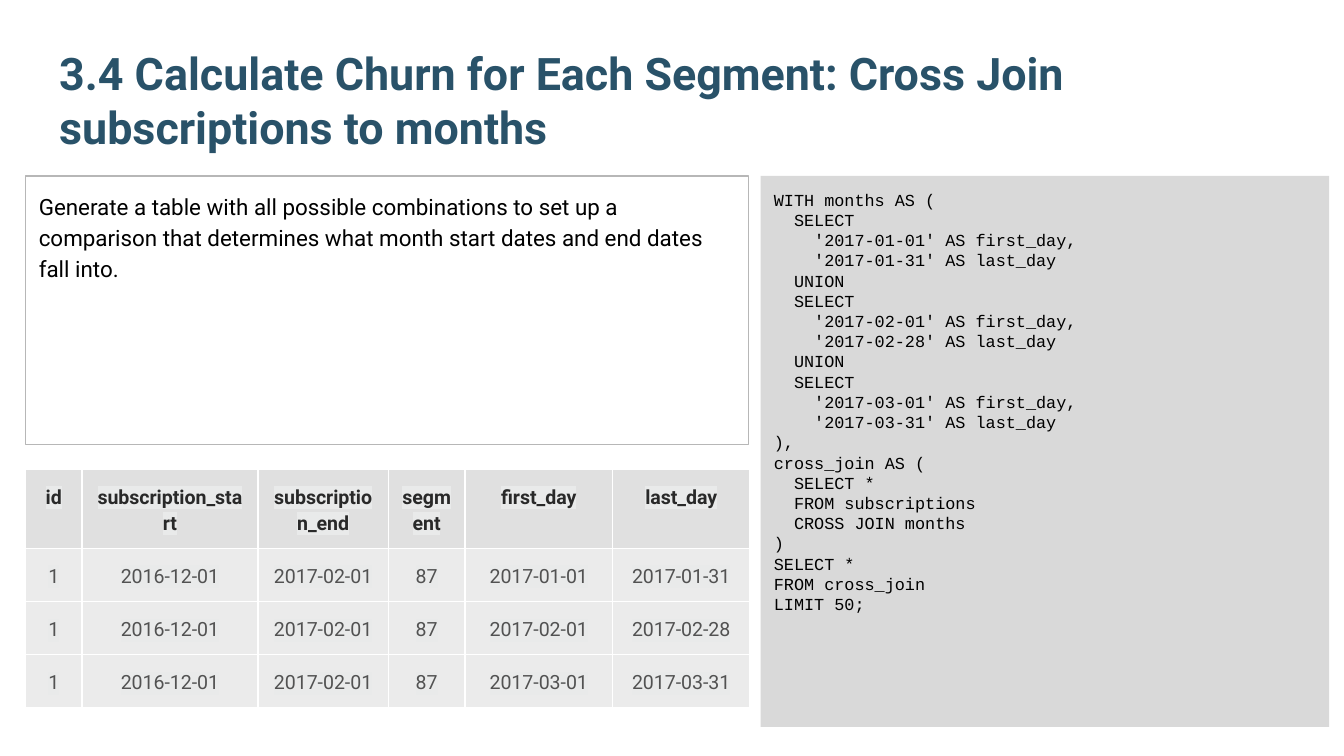
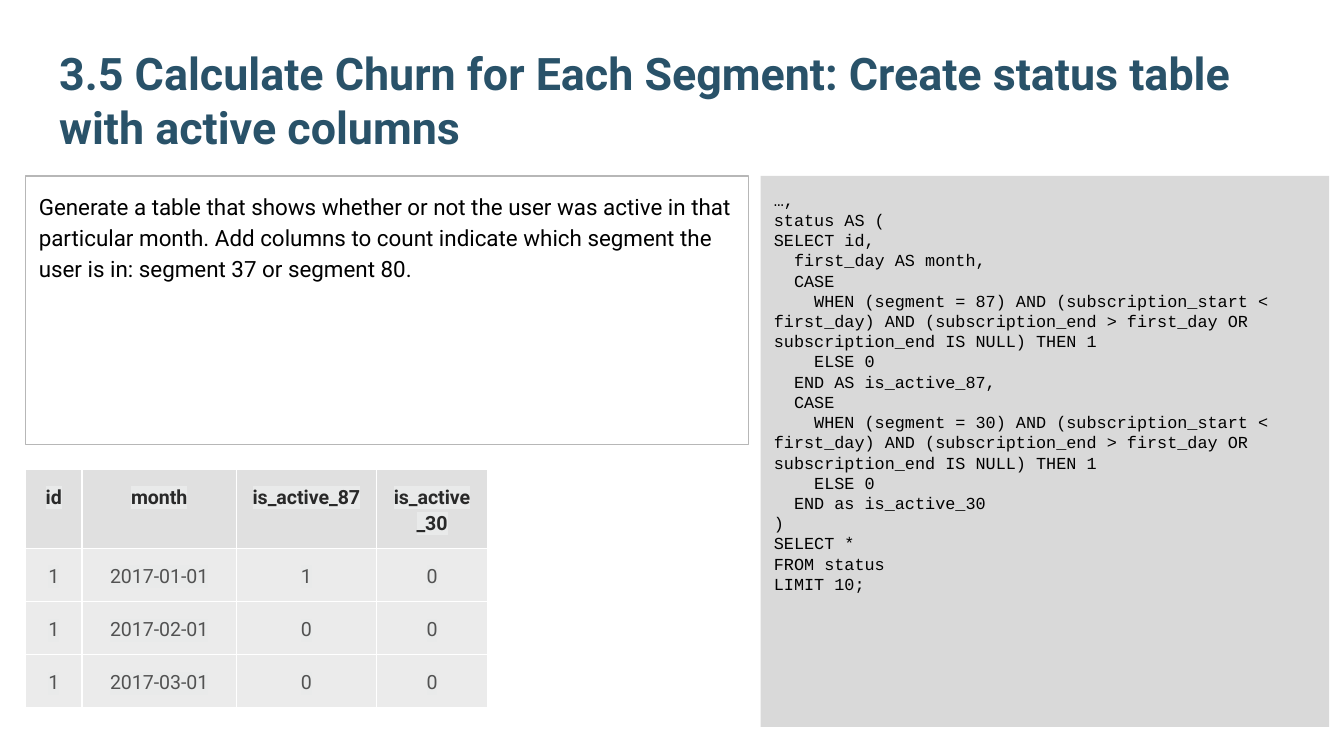
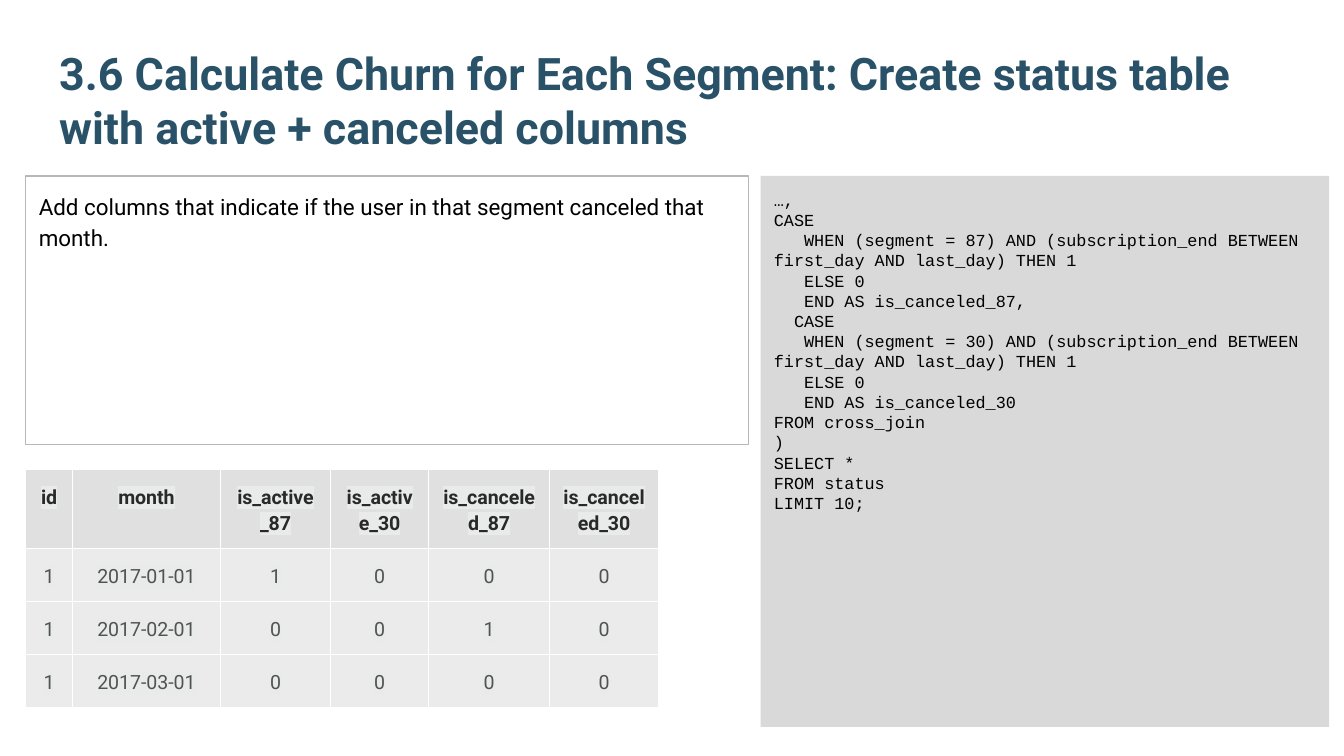
from dataclasses import dataclass

from lxml.etree import SubElement
from pptx import Presentation
from pptx.dml.color import RGBColor
from pptx.enum.shapes import MSO_SHAPE as Shape
from pptx.enum.text import MSO_ANCHOR as Anchor, MSO_AUTO_SIZE as AutoSize, PP_ALIGN as Align
from pptx.oxml import parse_xml
from pptx.oxml.ns import nsdecls, qn
from pptx.util import Inches, Pt

# Content
SLIDES = [
    {
        "title": "3.4 Calculate Churn for Each Segment: Cross Join subscriptions to months",
        "summary": "Generate a table with all possible combinations to set up a comparison "
                   "that determines what month start dates and end dates fall into.",
        "code": """\
WITH months AS (
  SELECT
    '2017-01-01' AS first_day,
    '2017-01-31' AS last_day
  UNION
  SELECT
    '2017-02-01' AS first_day,
    '2017-02-28' AS last_day
  UNION
  SELECT
    '2017-03-01' AS first_day,
    '2017-03-31' AS last_day
),
cross_join AS (
  SELECT *
  FROM subscriptions
  CROSS JOIN months
)
SELECT *
FROM cross_join
LIMIT 50;""",
        "widths": [0.42, 1.31, 0.97, 0.57, 1.1, 1.02],
        "rows": [
            ("id", "subscription_start", "subscription_end", "segment", "first_day", "last_day"),
            ("1", "2016-12-01", "2017-02-01", "87", "2017-01-01", "2017-01-31"),
            ("1", "2016-12-01", "2017-02-01", "87", "2017-02-01", "2017-02-28"),
            ("1", "2016-12-01", "2017-02-01", "87", "2017-03-01", "2017-03-31"),
        ],
    },
    {
        "title": "3.5 Calculate Churn for Each Segment: Create status table with active columns",
        "summary": "Generate a table that shows whether or not the user was active in that "
                   "particular month. Add columns to count indicate which segment the user "
                   "is in: segment 37 or segment 80.",
        "code": """\
…,
status AS (
SELECT id,
  first_day AS month,
  CASE
    WHEN (segment = 87) AND (subscription_start < first_day) AND \
(subscription_end > first_day OR subscription_end IS NULL) THEN 1
    ELSE 0
  END AS is_active_87,
  CASE
    WHEN (segment = 30) AND (subscription_start < first_day) AND \
(subscription_end > first_day OR subscription_end IS NULL) THEN 1
    ELSE 0
  END as is_active_30
)
SELECT *
FROM status
LIMIT 10;""",
        "widths": [0.42, 1.15, 1.04, 0.83],
        "rows": [
            ("id", "month", "is_active_87", "is_active_30"),
            ("1", "2017-01-01", "1", "0"),
            ("1", "2017-02-01", "0", "0"),
            ("1", "2017-03-01", "0", "0"),
        ],
    },
    {
        "title": "3.6 Calculate Churn for Each Segment: Create status table "
                 "with active + canceled columns",
        "summary": "Add columns that indicate if the user in that segment canceled that month.",
        "code": """\
…,
CASE
   WHEN (segment = 87) AND (subscription_end BETWEEN first_day AND last_day) THEN 1
   ELSE 0
   END AS is_canceled_87,
  CASE
   WHEN (segment = 30) AND (subscription_end BETWEEN first_day AND last_day) THEN 1
   ELSE 0
   END AS is_canceled_30
FROM cross_join
)
SELECT *
FROM status
LIMIT 10;""",
        "widths": [0.35, 1.1, 0.82, 0.73, 0.9, 0.81],
        "rows": [
            ("id", "month", "is_active_87", "is_active_30", "is_canceled_87", "is_canceled_30"),
            ("1", "2017-01-01", "1", "0", "0", "0"),
            ("1", "2017-02-01", "0", "0", "1", "0"),
            ("1", "2017-03-01", "0", "0", "0", "0"),
        ],
    },
]


# Shared look
@dataclass(frozen=True)
class TextStyle:
    size: float
    color: str
    font: str = "Roboto"
    bold: bool = False
    highlight: str = ""
    spacing: float = 1.0
    align: Align = Align.LEFT


@dataclass(frozen=True)
class Theme:
    title: TextStyle = TextStyle(24, "295269", bold=True)
    summary: TextStyle = TextStyle(12, "000000", spacing=1.15)
    code: TextStyle = TextStyle(9, "000000", font="Courier New")
    header: TextStyle = TextStyle(10.5, "292929", bold=True, highlight="E9EAEA",
                                  spacing=1.15, align=Align.CENTER)
    value: TextStyle = TextStyle(10.5, "525252", highlight="E9EAEA",
                                 spacing=1.15, align=Align.CENTER)
    code_fill: str = "D9D9D9"
    summary_line: str = "B7B7B7"
    header_fill: str = "E0E0E0"
    value_fill: str = "EBEBEB"
    grid_line: str = "FFFFFF"
    line_width: float = 0.75


THEME = Theme()
SLIDE_WIDTH = Inches(10)
SLIDE_HEIGHT = SLIDE_WIDTH * 9 // 16
PADDING = Inches(0.1)
TITLE_AREA = (0.34, 0.32, 9.32, 0.92)
CODE_AREA = (5.66, 1.31, 4.23, 4.1)
SUMMARY_AREA = (0.19, 1.31, 5.38, 2)
TABLE_LEFT, TABLE_TOP = 0.19, 3.49
HEADER_HEIGHT, VALUE_HEIGHT = 0.46, 0.37


def inches(area):
    return [Inches(length) for length in area]


def paint(fill, color):
    fill.solid()
    fill.fore_color.rgb = RGBColor.from_string(color)


# Text
def pad(target):
    target.margin_left = target.margin_right = PADDING
    target.margin_top = target.margin_bottom = PADDING


def write(frame, text, style):
    for index, line in enumerate(text.splitlines()):
        para = frame.add_paragraph() if index else frame.paragraphs[0]
        para.alignment = style.align
        para.line_spacing = style.spacing
        para.space_before = para.space_after = Pt(0)
        span = para.add_run()
        span.text = line
        font = span.font
        font.name, font.size, font.bold = style.font, Pt(style.size), style.bold
        font.color.rgb = RGBColor.from_string(style.color)
        if style.highlight:
            mark = parse_xml(f'<a:highlight {nsdecls("a")}>'
                             f'<a:srgbClr val="{style.highlight}"/></a:highlight>')
            span._r.get_or_add_rPr().find(qn("a:solidFill")).addnext(mark)


# Slide parts
def add_title(page, text):
    title = page.shapes.title
    title.left, title.top, title.width, title.height = inches(TITLE_AREA)
    frame = title.text_frame
    frame.word_wrap = True
    frame.auto_size = AutoSize.NONE
    frame.vertical_anchor = Anchor.BOTTOM
    pad(frame)
    write(frame, text, THEME.title)


def add_panel(page, area, text, style, fill=None, line=None):
    box = page.shapes.add_shape(Shape.RECTANGLE, *inches(area))
    box.shadow.inherit = False
    if fill:
        paint(box.fill, fill)
    else:
        box.fill.background()
    if line:
        paint(box.line.fill, line)
        box.line.width = Pt(THEME.line_width)
    else:
        box.line.fill.background()
    frame = box.text_frame
    frame.word_wrap = True
    frame.vertical_anchor = Anchor.TOP
    pad(frame)
    write(frame, text, style)


def add_borders(cell):
    properties = cell._tc.get_or_add_tcPr()
    for index, side in enumerate(("lnL", "lnR", "lnT", "lnB")):
        border = SubElement(properties, qn(f"a:{side}"), w=str(Pt(THEME.line_width)))
        fill = SubElement(border, qn("a:solidFill"))
        SubElement(fill, qn("a:srgbClr"), val=THEME.grid_line)
        properties.insert(index, border)


def add_result_table(page, rows, widths):
    heights = [HEADER_HEIGHT] + [VALUE_HEIGHT] * (len(rows) - 1)
    area = (TABLE_LEFT, TABLE_TOP, sum(widths), sum(heights))
    table = page.shapes.add_table(len(rows), len(widths), *inches(area)).table
    table.first_row = table.horz_banding = False
    for column, width in zip(table.columns, widths):
        column.width = Inches(width)
    for index, (row, height, values) in enumerate(zip(table.rows, heights, rows)):
        row.height = Inches(height)
        style = THEME.value if index else THEME.header
        fill = THEME.value_fill if index else THEME.header_fill
        for cell, value in zip(row.cells, values):
            pad(cell)
            cell.vertical_anchor = Anchor.TOP
            paint(cell.fill, fill)
            add_borders(cell)
            write(cell.text_frame, value, style)


def main():
    deck = Presentation()
    deck.slide_width, deck.slide_height = SLIDE_WIDTH, SLIDE_HEIGHT
    title_only = deck.slide_layouts[5]
    for content in SLIDES:
        page = deck.slides.add_slide(title_only)
        add_title(page, content["title"])
        add_panel(page, CODE_AREA, content["code"], THEME.code, fill=THEME.code_fill)
        add_panel(page, SUMMARY_AREA, content["summary"], THEME.summary,
                  line=THEME.summary_line)
        add_result_table(page, content["rows"], content["widths"])
    deck.save("out.pptx")


if __name__ == "__main__":
    main()
